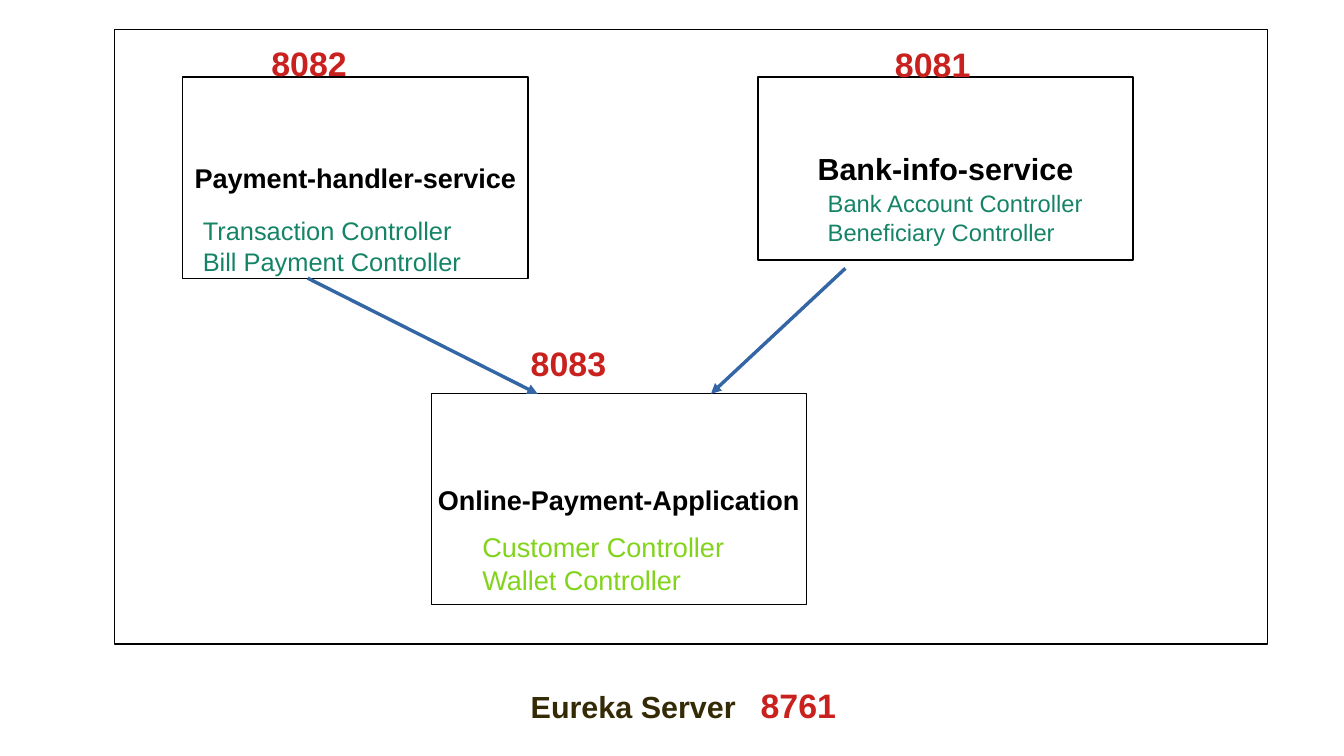
from dataclasses import dataclass

from lxml.etree import SubElement
from pptx import Presentation
from pptx.dml.color import RGBColor
from pptx.enum.shapes import MSO_CONNECTOR, MSO_SHAPE
from pptx.enum.text import MSO_ANCHOR, PP_ALIGN
from pptx.oxml.ns import qn
from pptx.util import Inches, Pt

WIDTH, HEIGHT = Inches(11.02), Inches(6.2)


@dataclass(frozen=True)
class Theme:
    font: str = "Arial"
    ink: str = "000000"
    paper: str = "FFFFFF"
    arrow: str = "3465A4"
    port: str = "C9211E"
    server: str = "342A06"
    teal: str = "158466"
    lime: str = "81D41A"
    port_size: int = 20
    large: int = 18
    medium: int = 16
    small: int = 15
    smallest: int = 14
    hairline: int = 0


THEME = Theme()

# Port number, its left and top, in percent of the slide
PORTS = [
    ("8081", 65.7, 5.0),
    ("8082", 19.3, 4.8),
    ("8083", 38.6, 44.5),
    ("8761", 55.7, 89.7),
]

# Name, size, box area; controllers, their size, colour and area
SERVICES = [
    ("Payment-handler-service", THEME.medium, (13.6, 10.2, 25.7, 26.6),
     ["Transaction Controller", "Bill Payment Controller"],
     THEME.small, THEME.teal, (14.2, 27.7, 25.0, 9.0)),
    ("Online-Payment-Application", THEME.medium, (32.1, 52.1, 27.9, 27.9),
     ["Customer Controller", "Wallet Controller"],
     THEME.medium, THEME.lime, (35.0, 69.4, 24.3, 9.5)),
    ("Bank-info-service", THEME.large, (56.4, 10.2, 27.9, 24.2),
     ["Bank Account Controller", "Beneficiary Controller"],
     THEME.smallest, THEME.teal, (60.7, 24.2, 21.4, 10.6)),
]

# Start and end points, in percent of the slide
ARROWS = [((62.9, 35.5), (52.9, 52.1)), ((22.9, 36.8), (40.0, 52.1))]


def place(*shares):
    """Turn alternating horizontal and vertical percents into lengths."""
    return [round(share * (HEIGHT if index % 2 else WIDTH) / 100)
            for index, share in enumerate(shares)]


def set_line(line, color):
    line.color.rgb = RGBColor.from_string(color)
    line.width = Pt(THEME.hairline)


def write(box, lines, size, color, bold=False, align=PP_ALIGN.LEFT):
    frame = box.text_frame
    frame.text = "\n".join(lines)
    for para in frame.paragraphs:
        para.alignment = align
        para.font.name = THEME.font
        para.font.size = Pt(size)
        para.font.bold = bold
        para.font.color.rgb = RGBColor.from_string(color)


def add_box(page, area, filled=True):
    box = page.shapes.add_shape(MSO_SHAPE.RECTANGLE, *place(*area))
    box.shadow.inherit = False
    if filled:
        box.fill.solid()
        box.fill.fore_color.rgb = RGBColor.from_string(THEME.paper)
    else:
        box.fill.background()
    set_line(box.line, THEME.ink)
    return box


def add_service(page, name, size, area):
    box = add_box(page, area)
    box.text_frame.word_wrap = False
    box.text_frame.vertical_anchor = MSO_ANCHOR.MIDDLE
    write(box, [name], size, THEME.ink, bold=True, align=PP_ALIGN.CENTER)


def add_label(page, lines, size, color, area, bold=False):
    box = page.shapes.add_textbox(*place(*area))
    box.text_frame.word_wrap = True
    write(box, lines, size, color, bold)


def add_arrow(page, start, end):
    arrow = page.shapes.add_connector(
        MSO_CONNECTOR.STRAIGHT, *place(*start, *end))
    set_line(arrow.line, THEME.arrow)
    properties = arrow.element.spPr
    SubElement(properties.find(qn("a:ln")), qn("a:tailEnd"), type="triangle")
    SubElement(properties, qn("a:effectLst"))


def main():
    deck = Presentation()
    deck.slide_width, deck.slide_height = WIDTH, HEIGHT
    page = deck.slides.add_slide(deck.slide_layouts.get_by_name("Blank"))

    # Service boxes with their controllers
    for name, name_size, box_area, controllers, size, color, area in SERVICES:
        add_service(page, name, name_size, box_area)
        add_label(page, controllers, size, color, area)

    # Server frame and its caption
    add_box(page, (8.5, 3.9, 85.8, 81.3), filled=False)
    add_label(page, ["Eureka Server"], THEME.large, THEME.server,
              (38.6, 90.2, 26.4, 6.1), bold=True)

    # Calls into the payment application
    for start, end in ARROWS:
        add_arrow(page, start, end)

    # Port numbers
    for port, left, top in PORTS:
        add_label(page, [port], THEME.port_size, THEME.port,
                  (left, top, 17.2, 6.6), bold=True)

    deck.save("out.pptx")


if __name__ == "__main__":
    main()
